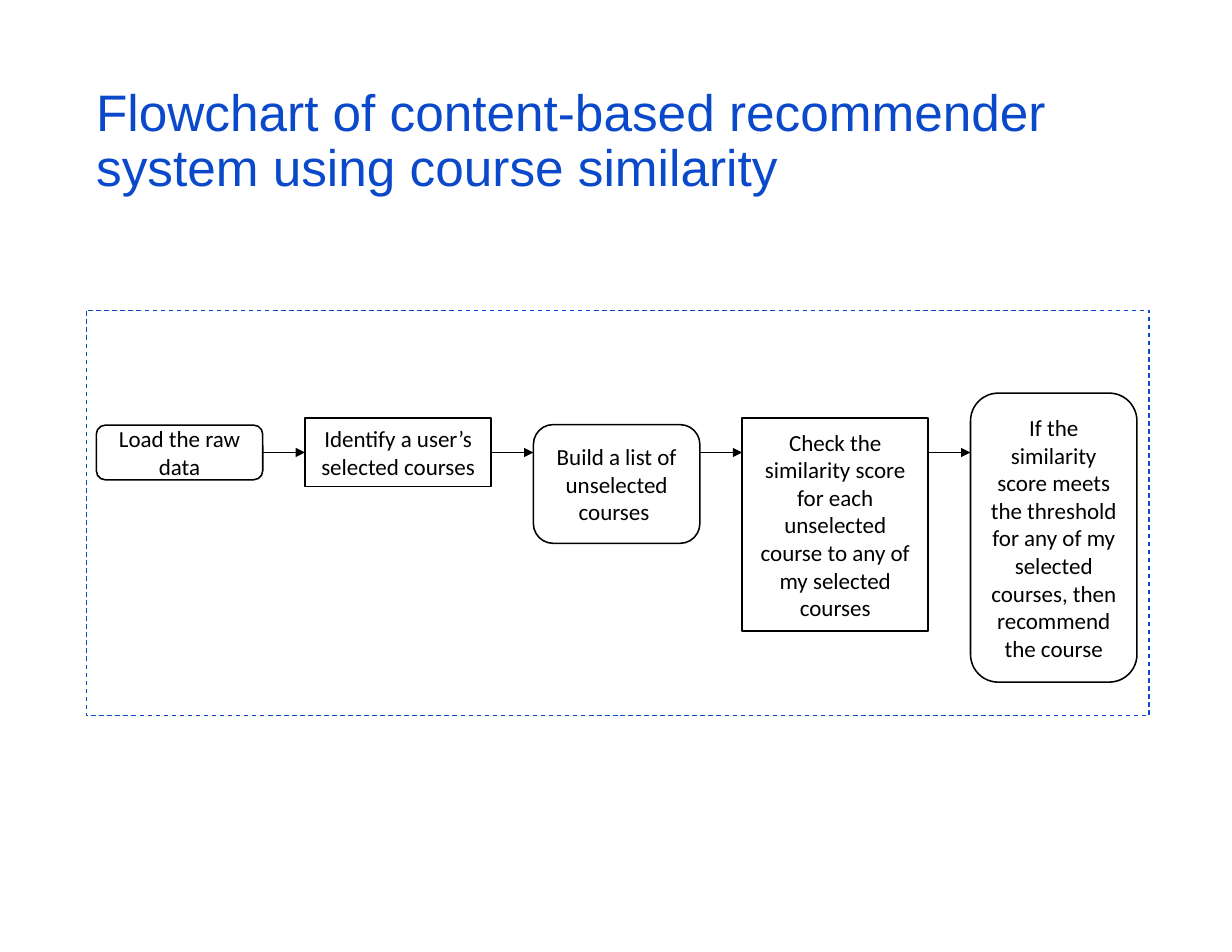
from pptx import Presentation
from pptx.dml.color import RGBColor
from pptx.enum.dml import MSO_LINE
from pptx.enum.shapes import MSO_CONNECTOR, MSO_SHAPE
from pptx.enum.text import MSO_ANCHOR, PP_ALIGN
from pptx.oxml.ns import qn
from pptx.util import Pt
from lxml.etree import SubElement

BLUE, BLACK, WHITE = "0B49CB", "000000", "FFFFFF"
ROUND, RECT = MSO_SHAPE.ROUNDED_RECTANGLE, MSO_SHAPE.RECTANGLE
WIDTH = {ROUND: 107, RECT: 119.6}
STEPS = [
    (ROUND, 273.3, 35.2, "Load the raw data"),
    (RECT, 268.9, 44, "Identify a user’s selected courses"),
    (ROUND, 273, 76.3, "Build a list of unselected courses "),
    (RECT, 268.9, 136.8, "Check the similarity score for each unselected "
     "course to any of my selected courses"),
    (ROUND, 252.7, 185.8, "If the similarity score meets the threshold for "
     "any of my selected courses, then recommend the course"),
]


def color(value):
    return RGBColor.from_string(value)


def write(shape, text, font, size, tint, align):
    frame = shape.text_frame
    frame.word_wrap = True
    frame.vertical_anchor = MSO_ANCHOR.MIDDLE
    frame.text = text
    para = frame.paragraphs[0]
    para.alignment = align
    style = para.runs[0].font
    style.name, style.size = font, Pt(size)
    style.color.rgb = color(tint)
    return para


def add_title(slide, left, top, width, height):
    box = slide.shapes.add_textbox(Pt(left), Pt(top), Pt(width), Pt(height))
    para = write(
        box,
        "Flowchart of content-based recommender system using course similarity",
        "Arial", 33, BLUE, PP_ALIGN.LEFT)
    para.line_spacing = 0.9


def add_box(slide, kind, left, top, width, height, edge, weight, fill=None):
    box = slide.shapes.add_shape(kind, Pt(left), Pt(top), Pt(width), Pt(height))
    box.shadow.inherit = False
    if fill:
        box.fill.solid()
        box.fill.fore_color.rgb = color(fill)
    else:
        box.fill.background()
    box.line.color.rgb = color(edge)
    box.line.width = Pt(weight)
    return box


def add_arrow(slide, start, end, level):
    arrow = slide.shapes.add_connector(
        MSO_CONNECTOR.STRAIGHT, start.left + start.width, level, end.left, level)
    arrow.line.color.rgb = color(BLACK)
    arrow.line.width = Pt(1.25)
    SubElement(arrow.line._get_or_add_ln(), qn("a:tailEnd"), type="triangle")
    SubElement(arrow._element.spPr, qn("a:effectLst"))
    if start.top + start.height // 2 == level:
        arrow.begin_connect(start, 3)
    if end.top + end.height // 2 == level:
        arrow.end_connect(end, 1)


def add_flow(slide, left, top, width, height):
    frame = add_box(slide, RECT, left, top, width, height, BLUE, 0.75)
    frame.line.dash_style = MSO_LINE.DASH
    pad, gap = 6.5, 27.2
    x = left + pad
    boxes = []
    for kind, y, tall, text in STEPS:
        fill = WHITE if kind == RECT else None
        box = add_box(slide, kind, x, y, WIDTH[kind], tall, BLACK, 1, fill)
        write(box, text, "Calibri", 14.8, BLACK, PP_ALIGN.CENTER)
        boxes.append(box)
        x += WIDTH[kind] + gap
    level = boxes[0].top + boxes[0].height // 2
    for start, end in zip(boxes, boxes[1:]):
        add_arrow(slide, start, end, level)


def main():
    deck = Presentation()
    deck.slide_width, deck.slide_height = Pt(792), Pt(612)
    slide = deck.slides.add_slide(deck.slide_layouts[6])
    add_title(slide, 54.7, 32.4, 683.3, 118)
    add_flow(slide, 55.4, 199.4, 683.3, 260.6)
    deck.save("out.pptx")


if __name__ == "__main__":
    main()
